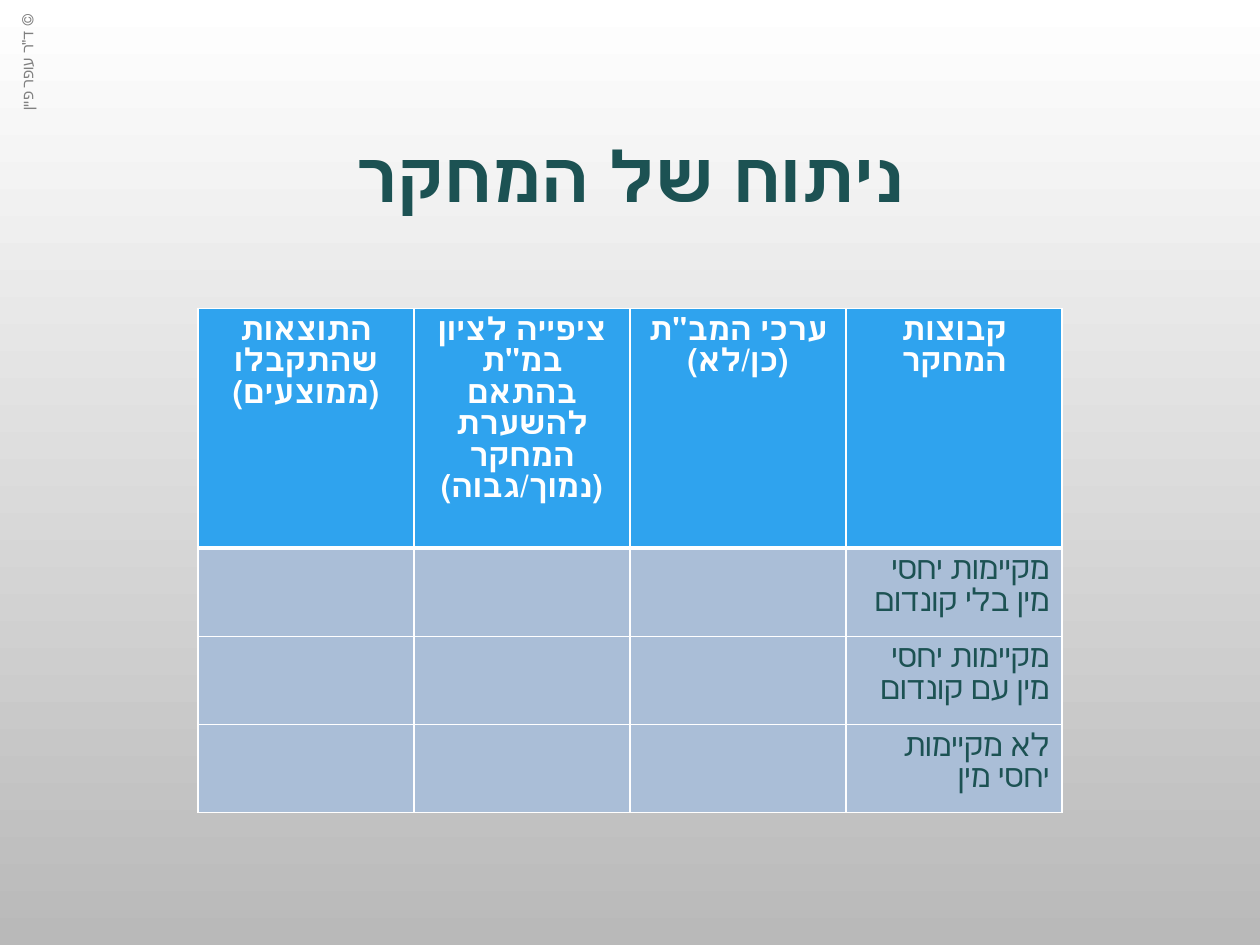
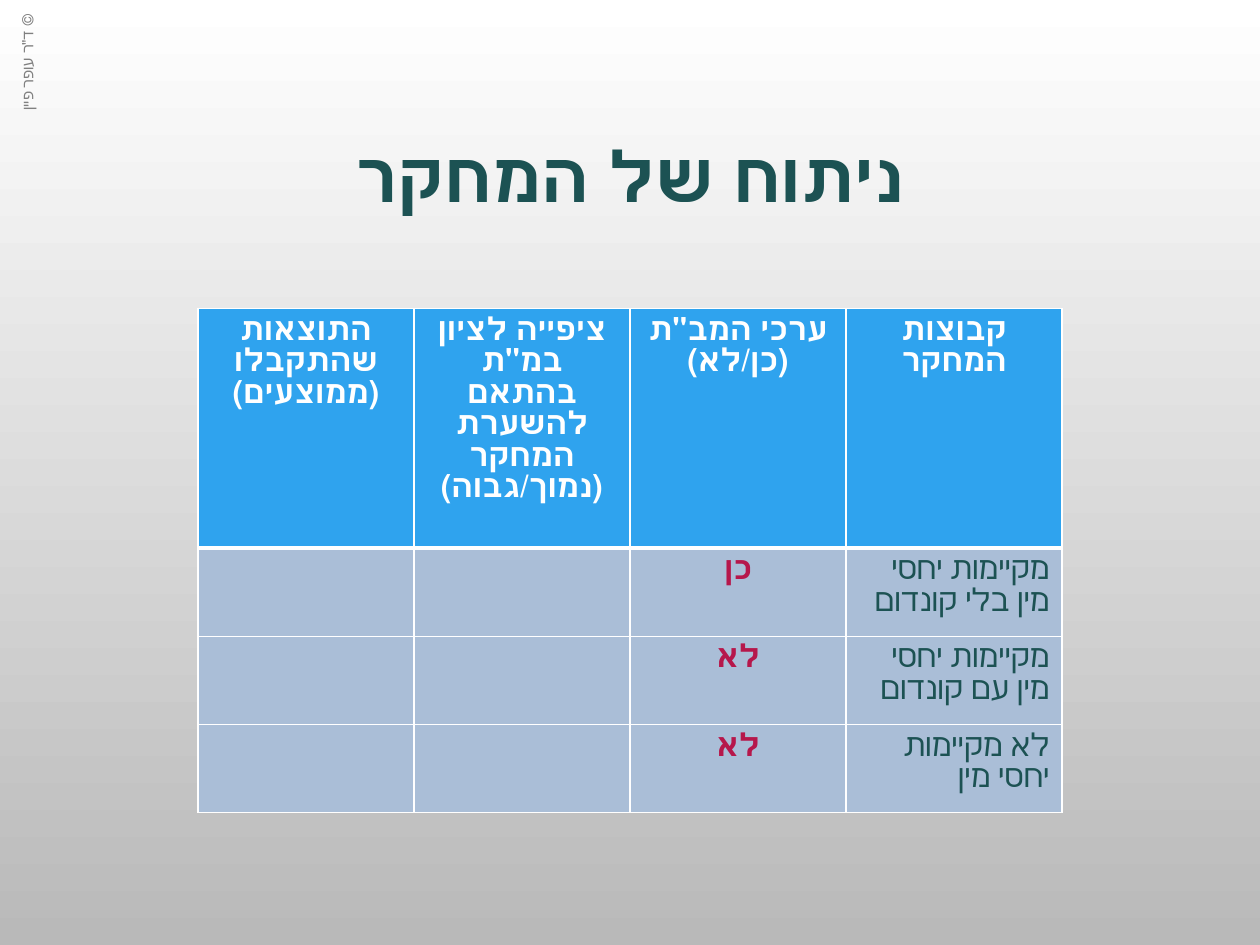
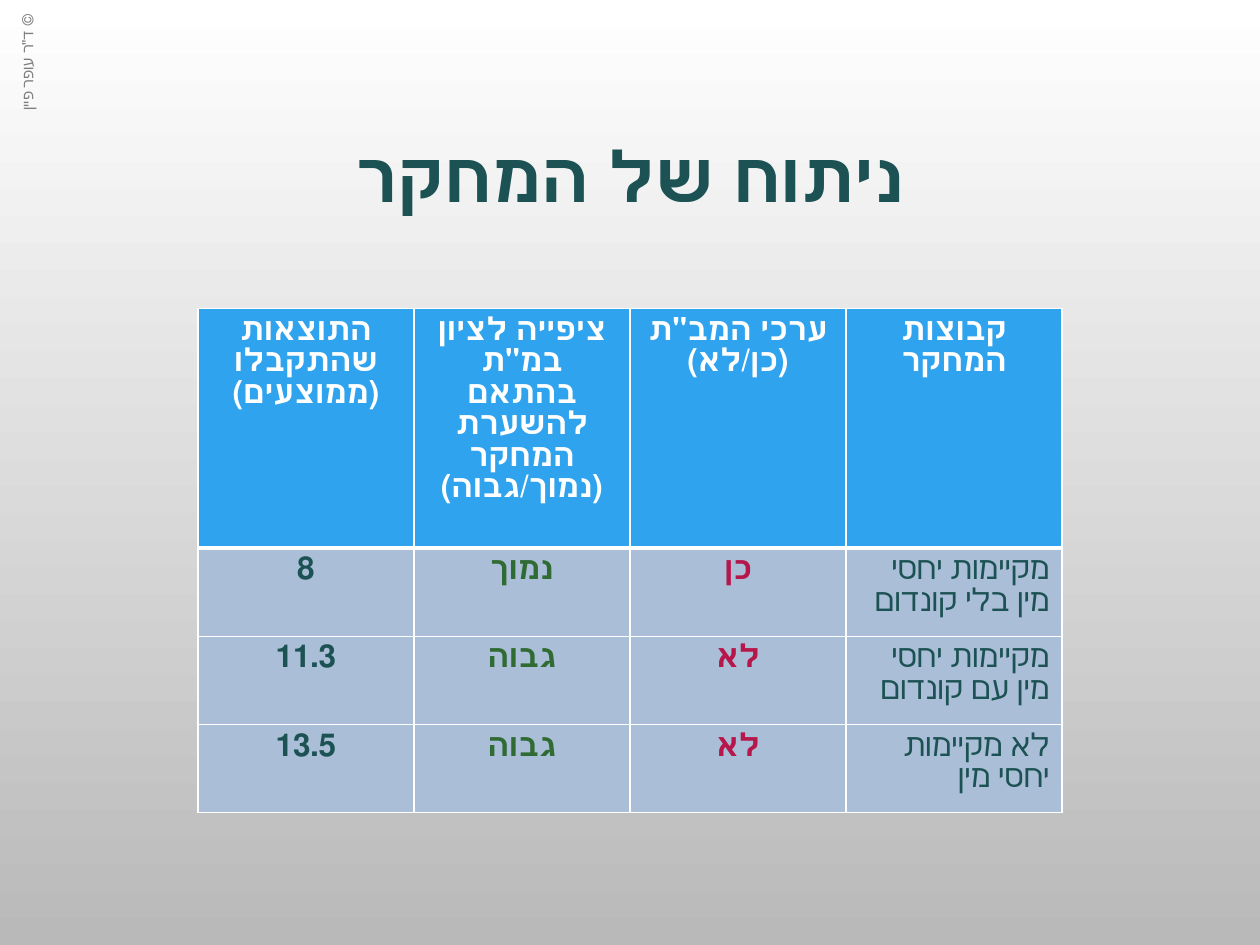
from lxml import etree
from pptx import Presentation
from pptx import util as u
from pptx.dml.color import RGBColor
from pptx.enum import text
from pptx.oxml import ns

TITLE = "ניתוח של המחקר"
CREDIT = "© ד\"ר עופר פיין"
HEADERS = [
    "התוצאות שהתקבלו (ממוצעים)",
    "ציפייה לציון במ\"ת בהתאם להשערת המחקר (נמוך/גבוה)",
    "ערכי המב\"ת\n(כן/לא)",
    "קבוצות המחקר",
]
GROUPS = [
    ("8", "נמוך", "כן", "מקיימות יחסי מין בלי קונדום"),
    ("11.3", "גבוה", "לא", "מקיימות יחסי מין עם קונדום"),
    ("13.5", "גבוה", "לא", "לא מקיימות יחסי מין"),
]
FIRST_SHOWN_COLUMNS = [3, 2, 0]

COLORS = {
    "white": "FFFFFF", "gray": "B9B9B9", "credit": "808080", "teal": "1C5253",
    "header": "2FA3EE", "body": "AABED7", "red": "B6174B", "green": "306B34",
}
COLUMN_COLORS = ["teal", "green", "red", "teal"]
GROUP_COLUMN = 3
TABLE_LEFT, TABLE_TOP, TABLE_WIDTH = 1.57, 2.45, 6.86
HEADER_HEIGHT, GROUP_HEIGHT = 1.9, 0.7
CENTER, RIGHT = text.PP_ALIGN.CENTER, text.PP_ALIGN.RIGHT


def rgb(name):
    return RGBColor.from_string(COLORS[name])


def write(frame, words, color, size, bold=False, name="Arial", align=CENTER, spacing=None):
    frame.text = words
    for para in frame.paragraphs:
        para.alignment = align
        para.line_spacing = spacing
        para._p.get_or_add_pPr().set("rtl", "1")
        for span in para.runs:
            for key, value in {"name": name, "size": u.Pt(size), "bold": bold}.items():
                setattr(span.font, key, value)
            span.font.color.rgb = rgb(color)


def set_borders(cell, widths):
    properties = cell._tc.get_or_add_tcPr()
    for index, (side, width) in enumerate(widths.items()):
        line = etree.Element(ns.qn(f"a:ln{side}"), w=str(u.Pt(width)))
        fill = etree.SubElement(line, ns.qn("a:solidFill"))
        etree.SubElement(fill, ns.qn("a:srgbClr"), val=COLORS["white"])
        properties.insert(index, line)


def style_master(deck):
    fill = deck.slide_master.background.fill
    fill.gradient()
    fill.gradient_angle = 270
    for stop, name in zip(fill.gradient_stops, ("white", "gray")):
        stop.color.rgb = rgb(name)


def add_credit(page):
    box = page.shapes.add_textbox(*map(u.Inches, (-0.28, 0.37, 0.99, 0.25)))
    box.rotation = 270
    box.text_frame.word_wrap = True
    box.text_frame.auto_size = text.MSO_AUTO_SIZE.SHAPE_TO_FIT_TEXT
    write(box.text_frame, CREDIT, "credit", 9, name="Roboto")
    page.slide_layout.shapes.element.append(box.element)


def add_title(page):
    title = page.shapes.title
    place = {"left": 0.5, "top": 1.05, "width": 9, "height": 0.76}
    for key, value in place.items():
        setattr(title, key, u.Inches(value))
    title.text_frame.auto_size = text.MSO_AUTO_SIZE.NONE
    title.text_frame.vertical_anchor = text.MSO_ANCHOR.MIDDLE
    write(title.text_frame, TITLE, "teal", 40, bold=True, spacing=0.9)


def add_study_table(page, first_shown):
    rows = [HEADERS, *GROUPS]
    heights = [HEADER_HEIGHT] + [GROUP_HEIGHT] * len(GROUPS)
    place = (TABLE_LEFT, TABLE_TOP, TABLE_WIDTH, sum(heights))
    table = page.shapes.add_table(len(rows), len(HEADERS), *map(u.Inches, place)).table
    for column in table.columns:
        column.width = u.Inches(TABLE_WIDTH / len(HEADERS))
    for r, values in enumerate(rows):
        table.rows[r].height = u.Inches(heights[r])
        is_header = r == 0
        for c, value in enumerate(values):
            cell = table.cell(r, c)
            cell.fill.solid()
            cell.fill.fore_color.rgb = rgb("header" if is_header else "body")
            set_borders(cell, {"L": 1, "R": 1, "T": 3 if r == 1 else 1, "B": 3 if is_header else 1})
            if is_header or c >= first_shown:
                is_group = c == GROUP_COLUMN and not is_header
                write(cell.text_frame, value, "white" if is_header else COLUMN_COLORS[c], 18,
                      bold=not is_group, align=RIGHT if is_group else CENTER, spacing=u.Pt(18))


def main():
    deck = Presentation()
    deck.slide_width, deck.slide_height = u.Inches(10), u.Inches(7.5)
    style_master(deck)
    layout = deck.slide_layouts[5]
    for number, first_shown in enumerate(FIRST_SHOWN_COLUMNS):
        page = deck.slides.add_slide(layout)
        if number == 0:
            add_credit(page)
        add_study_table(page, first_shown)
        add_title(page)
    deck.save("out.pptx")


if __name__ == "__main__":
    main()
